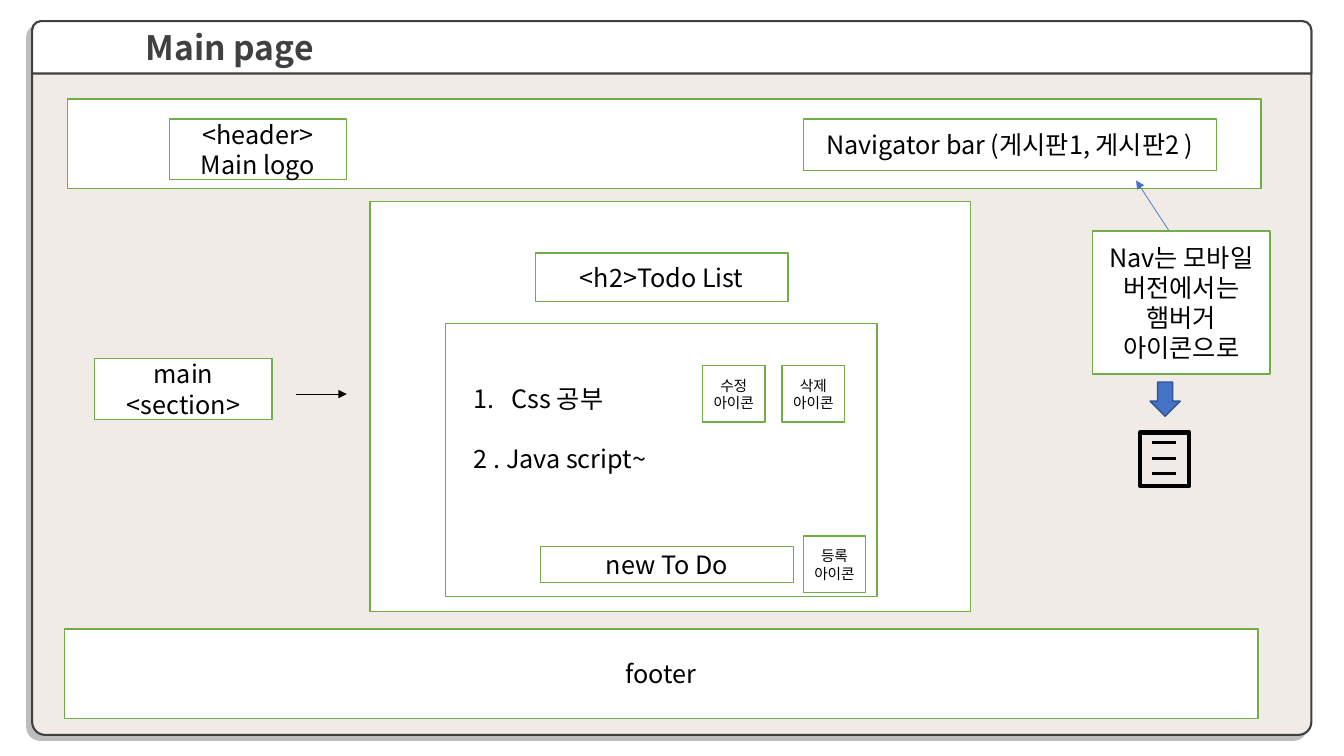
from dataclasses import dataclass

from lxml.etree import SubElement
from pptx import Presentation
from pptx.dml.color import RGBColor
from pptx.enum.shapes import MSO_CONNECTOR, MSO_SHAPE
from pptx.enum.text import MSO_ANCHOR, MSO_AUTO_SIZE, PP_ALIGN
from pptx.oxml.ns import qn
from pptx.util import Pt


@dataclass(frozen=True)
class Theme:
    font: str = "Noto Sans CJK KR"
    backdrop: str = "F0EBE7"
    white: str = "FFFFFF"
    black: str = "000000"
    dark: str = "404040"
    green: str = "70AD47"
    blue: str = "4472C4"
    navy: str = "325491"
    title: float = 24
    text: float = 18
    icon: float = 10.5


@dataclass(frozen=True)
class Box:
    left: float
    top: float
    width: float
    height: float

    def inner(self, left, top, width, height):
        return Box(self.left + left, self.top + top, width, height)

    def lengths(self):
        return [Pt(value) for value in (self.left, self.top, self.width, self.height)]


THEME = Theme()


def color(code):
    return RGBColor.from_string(code)


def add_span(para, text, size=THEME.text, ink=THEME.black, bold=False):
    span = para.add_run()
    span.text = text
    span.font.name = THEME.font
    span.font.size = Pt(size)
    span.font.bold = bold
    span.font.color.rgb = color(ink)
    SubElement(span.font._element, qn("a:ea"), typeface=THEME.font)


def add_block(shapes, box, kind=MSO_SHAPE.RECTANGLE, fill=THEME.white, line=THEME.green, weight=1):
    block = shapes.add_shape(kind, *box.lengths())
    block.shadow.inherit = False
    if fill:
        block.fill.solid()
        block.fill.fore_color.rgb = color(fill)
    else:
        block.fill.background()
    block.line.color.rgb = color(line)
    block.line.width = Pt(weight)
    return block


def add_label(page, box, *lines, size=THEME.text):
    frame = add_block(page.shapes, box).text_frame
    frame.word_wrap = True
    frame.vertical_anchor = MSO_ANCHOR.MIDDLE
    for index, line in enumerate(lines):
        para = frame.add_paragraph() if index else frame.paragraphs[0]
        para.alignment = PP_ALIGN.CENTER
        add_span(para, line, size)


def add_line(shapes, start, end, ink=THEME.black, weight=0.5, arrow=True):
    points = [Pt(value) for value in (*start, *end)]
    line = shapes.add_connector(MSO_CONNECTOR.STRAIGHT, *points)
    line.line.color.rgb = color(ink)
    line.line.width = Pt(weight)
    if arrow:
        SubElement(line.line._get_or_add_ln(), qn("a:tailEnd"), type="triangle")
    SubElement(line._element.spPr, qn("a:effectLst"))


def place_placeholder(page, holder, box, anchor):
    page.shapes._spTree.append(holder._element)
    holder.left, holder.top, holder.width, holder.height = box.lengths()
    frame = holder.text_frame
    frame.auto_size = MSO_AUTO_SIZE.NONE
    frame.word_wrap = True
    frame.vertical_anchor = anchor
    return frame


def window(page, box):
    panel = add_block(page.shapes, box, MSO_SHAPE.ROUND_2_SAME_RECTANGLE,
                      THEME.backdrop, THEME.dark, 1.5)
    panel.adjustments[0], panel.adjustments[1] = 0.015, 0.018
    effects = panel._element.spPr.find(qn("a:effectLst"))
    shadow = SubElement(effects, qn("a:outerShdw"), blurRad="0", dist=str(Pt(5)),
                        dir="8100000", algn="tr", rotWithShape="0")
    tint = SubElement(shadow, qn("a:srgbClr"), val=THEME.black)
    SubElement(tint, qn("a:alpha"), val="25000")
    bar = box.inner(0, 0, box.width, 37.4)
    add_block(page.shapes, bar, MSO_SHAPE.ROUND_2_SAME_RECTANGLE, THEME.white, THEME.dark, 1.5)
    title = place_placeholder(page, page.shapes.title, bar, MSO_ANCHOR.MIDDLE)
    title.margin_left = Pt(81)
    para = title.paragraphs[0]
    para.alignment = PP_ALIGN.LEFT
    add_span(para, "Main page", THEME.title, THEME.dark, True)


def header(page, box):
    add_block(page.shapes, box)
    add_label(page, box.inner(72.7, 14.4, 126.7, 43.2), "<header>", "Main logo")
    add_label(page, box.inner(525.6, 14.4, 295.2, 36.7), "Navigator bar (게시판1, 게시판2 )")


def todo_items(page, box):
    frame = place_placeholder(page, page.placeholders[1], box, MSO_ANCHOR.TOP)
    first, second = frame.paragraphs[0], frame.add_paragraph()
    for para, text, gap, indent, bullet in ((first, "Css 공부", 0, 27, "a:buAutoNum"),
                                            (second, "2 . Java script~", 21.5, 0, "a:buNone")):
        para.alignment = PP_ALIGN.LEFT
        para.space_before = Pt(gap)
        settings = para._p.get_or_add_pPr()
        settings.set("marL", str(Pt(indent)))
        settings.set("indent", str(-Pt(indent)))
        if indent:
            SubElement(settings, qn("a:buFont"), typeface=THEME.font)
        mark = SubElement(settings, qn(bullet))
        if indent:
            mark.set("type", "arabicPeriod")
        add_span(para, text)


def todo_panel(page, box):
    add_block(page.shapes, box)
    todo_items(page, box.inner(13, 38.9, 295.9, 72.7))
    icons = ((183.6, 30.2, ["수정 아이콘"]),
             (240.5, 30.2, ["삭제", "아이콘"]),
             (255.6, 151.9, ["등록", "아이콘"]))
    for left, top, lines in icons:
        add_label(page, box.inner(left, top, 44.6, 40.3), *lines, size=THEME.icon)
    add_label(page, box.inner(67.7, 159.1, 180.7, 25.9), "new To Do")


def main_section(page, box):
    add_block(page.shapes, box)
    add_label(page, box.inner(118.1, 36.7, 180.7, 34.6), "<h2>Todo List")
    todo_panel(page, box.inner(54, 87.1, 308.2, 195.1))


def section_note(page, box):
    add_label(page, box, "main", "<section>")
    middle = box.top + 25.2
    add_line(page.shapes, (box.left + 144, middle), (box.left + 180, middle))


def hamburger(page, box):
    icon = page.shapes.add_group_shape().shapes
    for index in range(3):
        height = box.top + 7.2 + 11.2 * index
        add_line(icon, (box.left + 8.6, height), (box.left + 25.9, height),
                 weight=2.25, arrow=False)
    add_block(icon, box, fill=None, line=THEME.black, weight=3)


def mobile_note(page, box):
    add_line(page.shapes, (box.left + 72, box.top + 26.6), (box.left + 31, box.top - 36), THEME.blue)
    add_label(page, box, "Nav는 모바일 버전에서는 햄버거 아이콘으로")
    hamburger(page, box.inner(33.8, 144, 35.3, 38.2))
    add_block(page.shapes, box.inner(41, 108, 21.6, 24.5), MSO_SHAPE.DOWN_ARROW,
              THEME.blue, THEME.navy)


deck = Presentation()
deck.slide_width, deck.slide_height = Pt(960), Pt(540)
page = deck.slides.add_slide(deck.slide_layouts[1])
window(page, Box(23, 15.1, 913.7, 509.8))
header(page, Box(48.2, 70.6, 852.5, 64.1))
main_section(page, Box(264.2, 144, 429.1, 293))
add_label(page, Box(46.1, 449.3, 852.5, 64.1), "footer")
section_note(page, Box(67.7, 256.3, 126.7, 43.2))
mobile_note(page, Box(780.5, 164.9, 126.7, 102.2))
deck.save("out.pptx")
